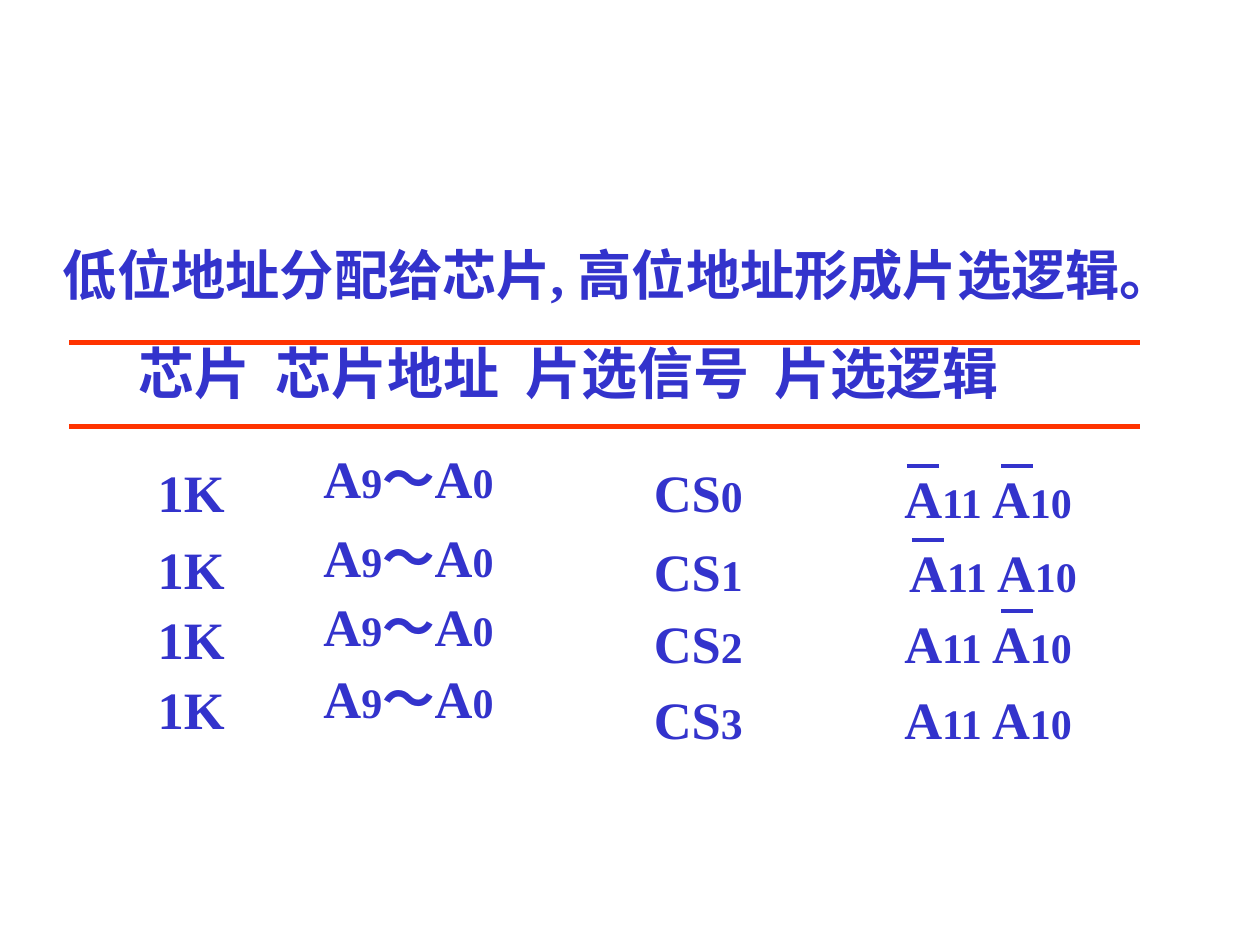
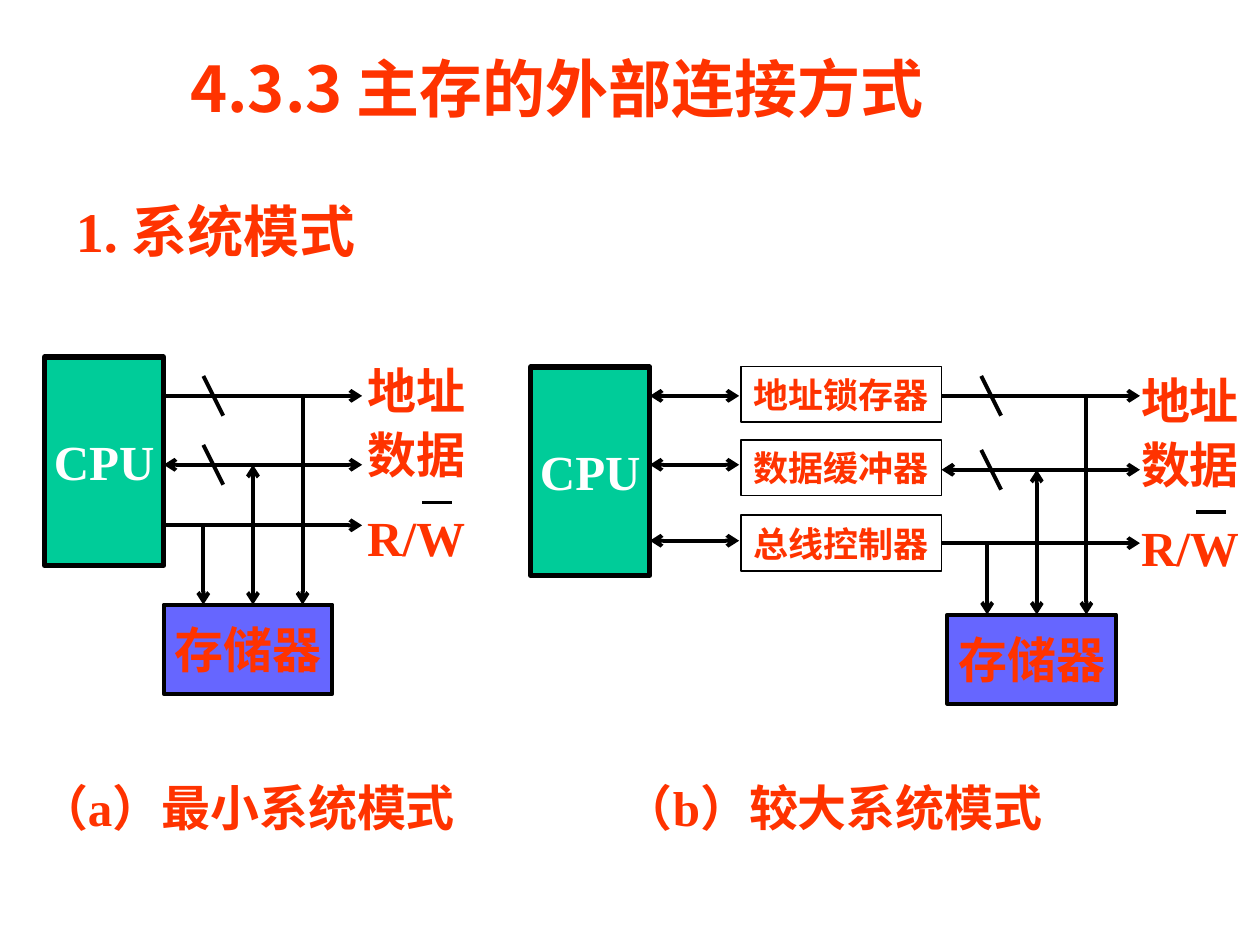
"""Build two slides on memory chip selection and on connecting main memory."""
import lxml.etree
import pptx
import pptx.dml.color
import pptx.enum.shapes
import pptx.enum.text
import pptx.oxml.ns
import pptx.util

BLUE, RED, BLACK, WHITE = "3333CC", "FF3300", "000000", "FFFFFF"
GREEN, VIOLET = "00CC99", "6666FF"
LATIN, CHINESE = "Times New Roman", "Noto Sans CJK SC"
ALIGN = pptx.enum.text.PP_ALIGN
ANCHOR = pptx.enum.text.MSO_ANCHOR


def colour(value):
    return pptx.dml.color.RGBColor.from_string(value)


def lengths(*values):
    return [pptx.util.Cm(value) for value in values]


def add_xml(parent, tag, **attributes):
    return lxml.etree.SubElement(parent, pptx.oxml.ns.qn(tag), **attributes)


def raised(top, text, size):
    em = size * 2.54 / 72
    return top + em * (0.12 if text.isascii() else -0.15)


class Deck:
    """Hold the shared style and the current slide."""

    def __init__(self):
        self.presentation = pptx.Presentation()
        self.presentation.slide_width, self.presentation.slide_height = lengths(25.4, 19.05)

    def new_slide(self, layout):
        self.slide = self.presentation.slides.add_slide(self.presentation.slide_layouts[layout])

    def fill_text(self, frame, parts, ink, align, anchor=ANCHOR.TOP, wrap=True):
        frame.auto_size = pptx.enum.text.MSO_AUTO_SIZE.NONE
        frame.word_wrap = wrap
        frame.vertical_anchor = anchor
        paragraph = frame.paragraphs[0]
        paragraph.alignment = align
        for words, size, face in parts:
            run = paragraph.add_run()
            run.text = words
            run.font.size = pptx.util.Pt(size)
            run.font.bold = True
            run.font.color.rgb = colour(ink)
            run.font.name = face
            add_xml(run._r.get_or_add_rPr(), "a:ea", typeface=CHINESE)
        return paragraph

    def title(self, words, left, top, width, height, size=36):
        heading = self.slide.shapes.title
        heading.left, heading.top, heading.width, heading.height = lengths(
            left, raised(top, words, size), width, height)
        self.fill_text(heading.text_frame, [(words, size, CHINESE)], RED, ALIGN.CENTER)

    def text(self, parts, left, top, width, height, ink=BLUE, tabs=()):
        words = "".join(part[0] for part in parts)
        top = raised(top, words, parts[0][1])
        box = self.slide.shapes.add_textbox(*lengths(left, top, width, height))
        paragraph = self.fill_text(box.text_frame, parts, ink, ALIGN.LEFT)
        if tabs:
            stops = add_xml(paragraph._p.get_or_add_pPr(), "a:tabLst")
            for position in lengths(*tabs):
                add_xml(stops, "a:tab", pos=str(int(position)), algn="l")

    def label(self, words, left, top, width, height=1.45, size=28):
        top = raised(top, words, size)
        box = self.slide.shapes.add_textbox(*lengths(left, top, width, height))
        self.fill_text(box.text_frame, [(words, size, LATIN)], RED, ALIGN.CENTER, wrap=False)

    def block(self, words, left, top, width, height, fill=None, ink=RED, weight=2.25, size=28):
        box = self.slide.shapes.add_shape(
            pptx.enum.shapes.MSO_SHAPE.RECTANGLE, *lengths(left, top, width, height))
        box.shadow.inherit = False
        if fill:
            box.fill.solid()
            box.fill.fore_color.rgb = colour(fill)
        else:
            box.fill.background()
        box.line.color.rgb = colour(BLACK)
        box.line.width = pptx.util.Pt(weight)
        self.fill_text(box.text_frame, [(words, size, LATIN)], ink, ALIGN.CENTER,
                       ANCHOR.MIDDLE, False)

    def line(self, x1, y1, x2, y2, ink=BLACK, weight=2.25, arrows=""):
        wire = self.slide.shapes.add_connector(
            pptx.enum.shapes.MSO_CONNECTOR.STRAIGHT, *lengths(x1, y1, x2, y2))
        wire.line.color.rgb = colour(ink)
        wire.line.width = pptx.util.Pt(weight)
        properties = wire._element.spPr
        outline = properties.find(pptx.oxml.ns.qn("a:ln"))
        for end in arrows.split():
            add_xml(outline, f"a:{end}End", type="arrow")
        add_xml(properties, "a:effectLst")


def chip_select_slide(deck):
    deck.new_slide(6)
    deck.text([("低位地址分配给芯片", 31, CHINESE), (", ", 31, LATIN),
               ("高位地址形成片选逻辑。", 31, CHINESE)], 1.02, 4.9, 23.67, 1.57)
    deck.text([("芯片\t芯片地址\t片选信号\t片选逻辑", 32, CHINESE)],
              2.54, 6.86, 21.5, 1.63, tabs=(2.77, 7.8, 12.83))
    for rule_top in (6.9, 8.6):
        deck.line(1.4, rule_top, 22.98, rule_top, RED, 3)

    chip_rows = [
        ((9.02, 9.02, 9.02, 9.14), 17.98, (0.3, 2.2)),
        ((10.57, 10.62, 10.62, 10.64), 18.08, (0.3,)),
        ((11.99, 12.01, 12.07, 12.07), 17.98, (2.2,)),
        ((13.39, 13.46, 13.59, 13.59), 17.98, ()),
    ]
    for chip, (tops, logic_left, overbars) in enumerate(chip_rows):
        cells = [
            [("1K", 30)],
            [("A", 30), ("9", 24), ("～A", 30), ("0", 24)],
            [("CS", 30), (str(chip), 25)],
            [("A", 30), ("11", 24), (" A", 30), ("10", 24)],
        ]
        lefts = (2.93, 6.27, 12.93, logic_left)
        for cell, left, top in zip(cells, lefts, tops):
            deck.text([(words, size, LATIN) for words, size in cell], left, top, 4.85, 1.52)
        for offset in overbars:
            bar_left, bar_top = logic_left + offset, tops[-1] + 0.25
            deck.line(bar_left, bar_top, bar_left + 0.64, bar_top, BLUE)


def bus_and_memory(deck, bus_left, bus_tops, memory_left, label_left, drop):
    address, data, control = bus_tops
    memory_top = 12.19 + drop
    for top, arrows in ((address, "tail"), (data, "head tail"), (control, "tail")):
        deck.line(bus_left, top, bus_left + 4, top, arrows=arrows)
    for top in (address, data):
        deck.line(bus_left + 0.8, top - 0.4, bus_left + 1.2, top + 0.4)
    for offset, top, arrows in ((0.8, control, "tail"), (1.8, data, "head tail"),
                                (2.8, address, "tail")):
        deck.line(memory_left + offset, top, memory_left + offset, memory_top, arrows=arrows)
    deck.block("存储器", memory_left, memory_top, 3.4, 1.8, VIOLET)
    for signal, top in (("地址", 7.29), ("数据", 8.59), ("R/W", 9.98)):
        deck.label(signal, label_left, top + drop, 2.46)
    deck.line(label_left + 1.35, 10.13 + drop, label_left + 1.95, 10.13 + drop)


def system_mode_slide(deck):
    deck.new_slide(5)
    deck.title("4.3.3 主存的外部连接方式", 1.07, 1.07, 20.32, 1.78)
    deck.label("1. 系统模式", 1.14, 4.01, 6.43, 1.63, 32)

    for cpu_left, cpu_top in ((0.9, 7.2), (10.7, 7.4)):
        deck.block("CPU", cpu_left, cpu_top, 2.4, 4.2, GREEN, WHITE, 3)
    bus_and_memory(deck, 3.3, (7.98, 9.37, 10.59), 3.3, 7.16, 0)
    bus_and_memory(deck, 18.98, (7.98, 9.47, 10.95), 19.1, 22.76, 0.2)

    for unit, top, link_top in (("地址锁存器", 7.39, 7.98), ("数据缓冲器", 8.87, 9.37),
                                ("总线控制器", 10.39, 10.9)):
        deck.block(unit, 14.94, top, 4.04, 1.12, weight=1, size=20)
        deck.line(13.1, link_top, 14.9, link_top, arrows="head tail")

    for caption, left in (("（a）最小系统模式", 0.28), ("（b）较大系统模式", 12.1)):
        deck.label(caption, left, 15.7, 9.4)


def main():
    deck = Deck()
    chip_select_slide(deck)
    system_mode_slide(deck)
    deck.presentation.save("out.pptx")


if __name__ == "__main__":
    main()
